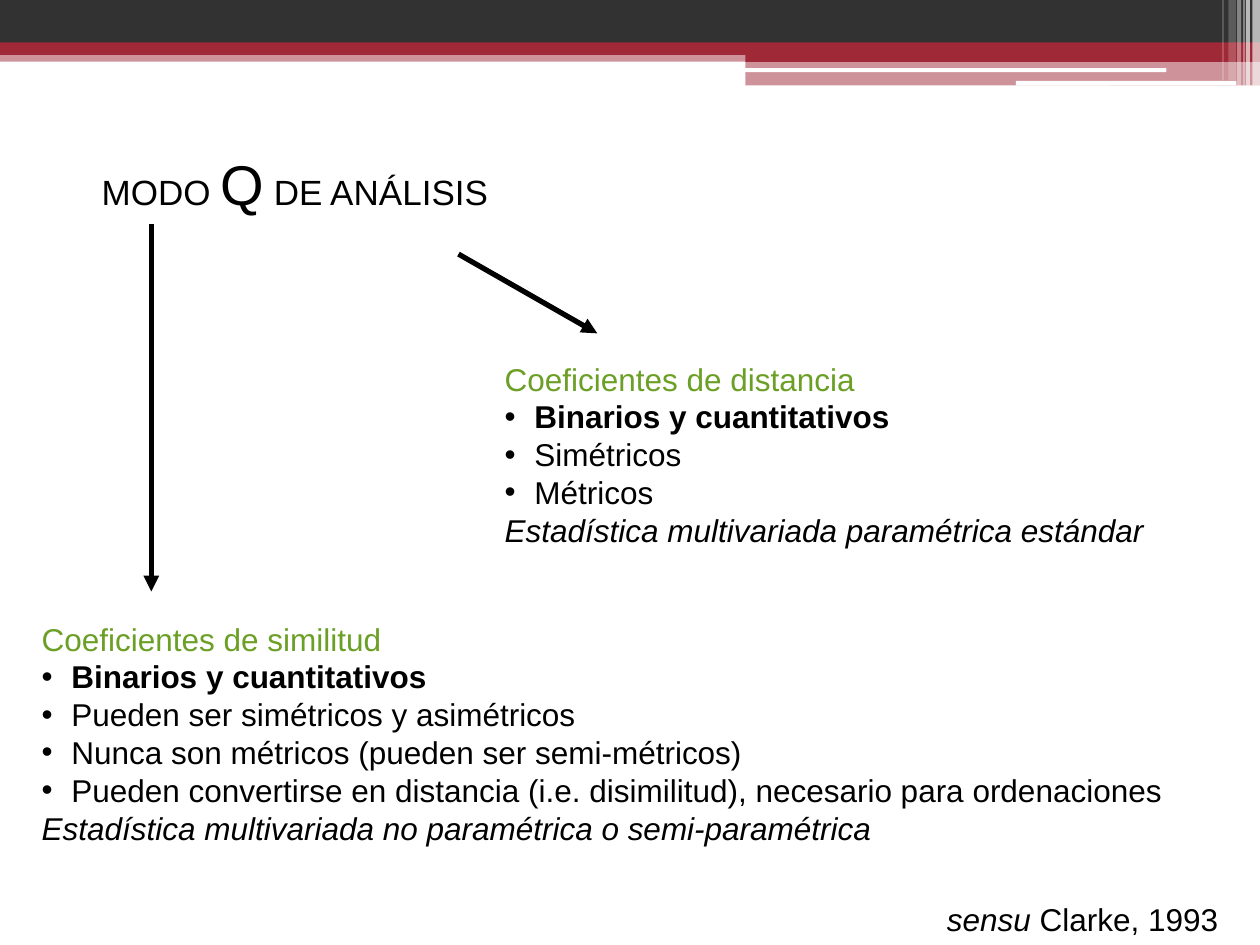
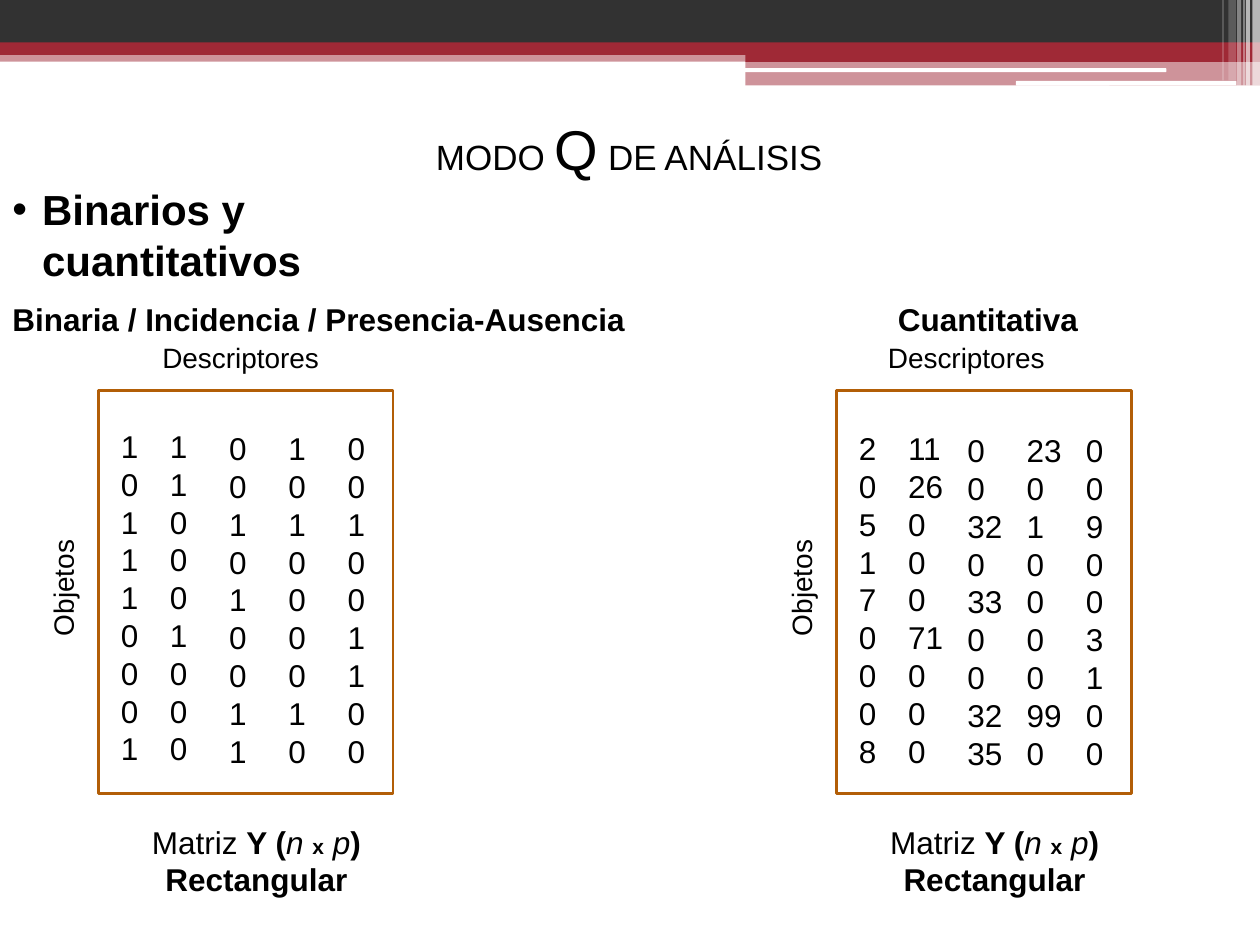
from dataclasses import dataclass

from lxml import etree
from pptx import Presentation
from pptx.dml.color import RGBColor
from pptx.enum.shapes import MSO_CONNECTOR, MSO_SHAPE
from pptx.enum.text import MSO_ANCHOR, PP_ALIGN
from pptx.oxml.ns import qn
from pptx.util import Pt

RECT = MSO_SHAPE.RECTANGLE
ROUND = MSO_SHAPE.ROUNDED_RECTANGLE
STRAIGHT = MSO_CONNECTOR.STRAIGHT
TOP = MSO_ANCHOR.TOP
LEFT = PP_ALIGN.LEFT
CENTER = PP_ALIGN.CENTER

BLACK = RGBColor(0x00, 0x00, 0x00)
WHITE = RGBColor(0xFF, 0xFF, 0xFF)
DARK = RGBColor(0x32, 0x32, 0x32)
RED = RGBColor(0x9F, 0x29, 0x36)
GREEN = RGBColor(0x6B, 0x9F, 0x25)
BROWN = RGBColor(0xB2, 0x5E, 0x07)

FONT = "Arial"
INDENT = 17
LEADING = 1.2

BANDS = [
    (RECT, 0, 28.8, 720, 6.5, RED, 50),
    (RECT, 0, 0, 720, 24.5, DARK, 100),
    (RECT, 0, 24.2, 720, 7.2, RED, 100),
    (RECT, 426, 28.2, 294, 7.2, RED, 100),
    (RECT, 426, 35.2, 294, 13.6, RED, 50),
    (ROUND, 425.5, 39, 241, 2.2, WHITE, 100),
    (ROUND, 580.5, 46.3, 126, 2.6, WHITE, 100),
]
STRIPES = [
    (715.7, 4.3, 49, 65),
    (712, 2.2, 49, 65),
    (710.5, 0.7, 49, 60),
    (707, 2.2, 49, 40),
    (702, 4.3, 46, 20),
    (698.5, 0.7, 46, 30),
]

BINARY = ["101110001", "110001000", "001010011", "101000010", "001001100"]
COUNTS = [
    [2, 0, 5, 1, 7, 0, 0, 0, 8],
    [11, 26, 0, 0, 0, 71, 0, 0, 0],
    [0, 0, 32, 0, 33, 0, 0, 32, 35],
    [23, 0, 1, 0, 0, 0, 0, 99, 0],
    [0, 0, 9, 0, 0, 3, 1, 0, 0],
]


@dataclass
class Run:
    """A stretch of text in one style."""
    text: str
    size: float = 18
    bold: bool = False
    slant: bool = False
    color: RGBColor = BLACK


@dataclass
class Para:
    """A line of runs with its bullet and alignment."""
    runs: list
    bullet: bool = False
    align: PP_ALIGN = LEFT


def plain(text, bullet=False, align=LEFT, **style):
    """Return a paragraph of a single run."""
    return Para([Run(text, **style)], bullet, align)


def add_bar(slide, kind, x, y, w, h, color, alpha):
    """Draw a borderless bar with the given opacity."""
    bar = slide.shapes.add_shape(kind, Pt(x), Pt(y), Pt(w), Pt(h))
    bar.shadow.inherit = False
    bar.line.fill.background()
    bar.fill.solid()
    bar.fill.fore_color.rgb = color
    if alpha < 100:
        tint = bar.fill._xPr.find(".//" + qn("a:srgbClr"))
        etree.SubElement(tint, qn("a:alpha")).set("val", str(alpha * 1000))


def add_bands(slide):
    """Draw the bands and stripes shared by the slides."""
    for band in BANDS:
        add_bar(slide, *band)
    for x, w, h, alpha in STRIPES:
        add_bar(slide, RECT, x, 0, w, h, WHITE, alpha)


def set_bullet(para):
    """Give a paragraph a hanging round bullet."""
    props = para._p.get_or_add_pPr()
    props.set("marL", str(Pt(INDENT)))
    props.set("indent", str(-Pt(INDENT)))
    etree.SubElement(props, qn("a:buFont")).set("typeface", FONT)
    etree.SubElement(props, qn("a:buChar")).set("char", "•")


def add_text(slide, x, y, w, h, paras, wrap=True, turn=0):
    """Place a text box and fill it run by run."""
    box = slide.shapes.add_textbox(Pt(x), Pt(y), Pt(w), Pt(h))
    box.rotation = turn
    frame = box.text_frame
    frame.word_wrap = wrap
    frame.vertical_anchor = TOP
    for i, item in enumerate(paras):
        para = frame.add_paragraph() if i else frame.paragraphs[0]
        if item.bullet:
            set_bullet(para)
        para.alignment = item.align
        para.line_spacing = Pt(LEADING * max(r.size for r in item.runs))
        for part in item.runs:
            run = para.add_run()
            run.text = part.text
            font = run.font
            font.name = FONT
            font.size = Pt(part.size)
            font.bold = part.bold
            font.italic = part.slant
            font.color.rgb = part.color


def add_arrow(slide, x1, y1, x2, y2):
    """Draw a thick black arrow."""
    arrow = slide.shapes.add_connector(
        STRAIGHT, Pt(x1), Pt(y1), Pt(x2), Pt(y2))
    arrow.line.color.rgb = BLACK
    arrow.line.width = Pt(3)
    line = arrow.line._get_or_add_ln()
    etree.SubElement(line, qn("a:tailEnd")).set("type", "triangle")
    etree.SubElement(arrow._element.spPr, qn("a:effectLst"))


def add_title(slide, x, y):
    """Write the title with its large Q."""
    runs = [Run("MODO ", 20), Run("Q", 32), Run(" DE ANÁLISIS", 20)]
    add_text(slide, x, y, 236, 45, [Para(runs)], wrap=False)


def add_group(slide, x, y, w, h, head, points, note):
    """List the traits of one family of coefficients."""
    paras = [plain(head, color=GREEN),
             plain("Binarios y cuantitativos", True, bold=True)]
    paras += [plain(point, True) for point in points]
    paras.append(plain(note, slant=True))
    add_text(slide, x, y, w, h, paras)


def add_matrix(slide, x, y, cols, widths, align):
    """Draw a framed matrix with its labels and columns of values."""
    frame = slide.shapes.add_shape(RECT, Pt(x), Pt(223), Pt(168.5), Pt(230.5))
    frame.shadow.inherit = False
    frame.fill.background()
    frame.line.color.rgb = BROWN
    frame.line.width = Pt(1.5)
    name = [Run("Matriz "), Run("Y (", bold=True), Run("n ", slant=True),
            Run("x", 12, bold=True), Run(" ", bold=True),
            Run("p", slant=True), Run(")", bold=True)]
    add_text(slide, x + 17.3, 466.5, 146, 51, [
        Para(name, align=CENTER),
        plain("Rectangular", align=CENTER, bold=True)])
    add_text(slide, x - 68.4, 309, 96.5, 26.6,
             [plain("Objetos", size=16)], turn=270)
    add_text(slide, x + 22.3, 191, 118, 26.6,
             [plain("Descriptores", size=16, align=align)])
    for i, (col, width) in enumerate(zip(cols, widths)):
        left = x + 5.8 + (28 * i if i < 2 else 28 + 33.85 * (i - 1))
        top = y if i < 2 else y + 1.2
        add_text(slide, left, top, width, 204, [plain(str(n)) for n in col])


def draw_modes(slide):
    """Build the slide that contrasts similarity and distance."""
    add_bands(slide)
    add_title(slide, 51, 82)
    add_arrow(slide, 262, 145.2, 341.3, 190.5)
    add_arrow(slide, 86.5, 128, 86.5, 338)
    add_group(slide, 16.7, 350.6, 703.3, 138, "Coeficientes de similitud", [
        "Pueden ser simétricos y asimétricos",
        "Nunca son métricos (pueden ser semi-métricos)",
        "Pueden convertirse en distancia (i.e. disimilitud), "
        "necesario para ordenaciones",
    ], "Estadística multivariada no paramétrica o semi-paramétrica")
    add_group(slide, 281.3, 202, 438.7, 117, "Coeficientes de distancia",
              ["Simétricos", "Métricos"],
              "Estadística multivariada paramétrica estándar")
    add_text(slide, 534, 511, 186, 29,
             [Para([Run("sensu", slant=True), Run(" Clarke, 1993")])])


def draw_data(slide):
    """Build the slide with the binary and the count matrix."""
    add_bands(slide)
    add_title(slide, 242, 62)
    add_matrix(slide, 56.2, 240.5, BINARY, [28] * 5, CENTER)
    add_matrix(slide, 478, 241.7, COUNTS, [28, 39.6, 39.6, 39.6, 34], LEFT)
    add_text(slide, 0, 168, 388, 29, [
        plain("Binaria / Incidencia / Presencia-Ausencia", bold=True)])
    add_text(slide, 506, 168, 124, 29, [plain("Cuantitativa", bold=True)])
    add_text(slide, 0, 101.5, 296, 36, [
        plain("Binarios y cuantitativos", True, size=24, bold=True)])


def main():
    """Build both slides and save them."""
    deck = Presentation()
    deck.slide_width = Pt(720)
    deck.slide_height = Pt(540)
    blank = deck.slide_layouts[6]
    for draw in (draw_modes, draw_data):
        draw(deck.slides.add_slide(blank))
    deck.save("out.pptx")


if __name__ == "__main__":
    main()
